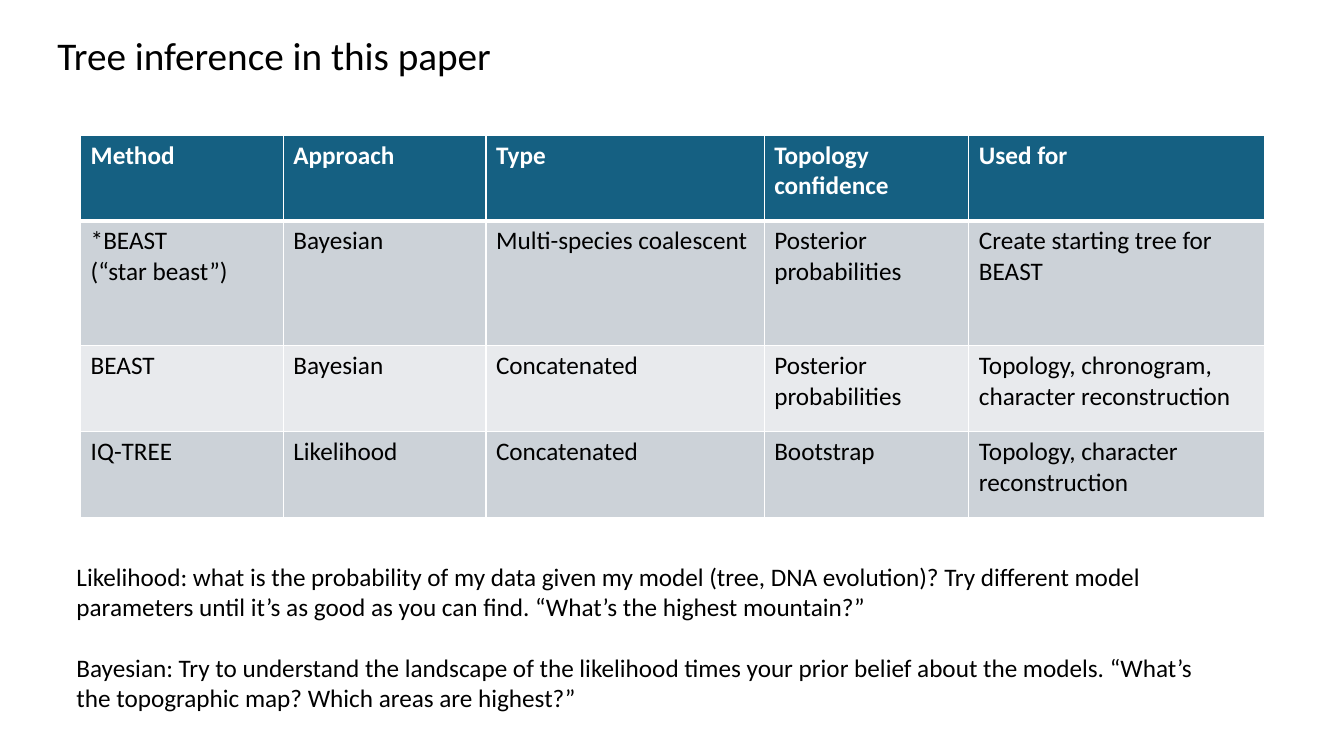
from lxml import etree
from pptx import Presentation
from pptx.dml.color import RGBColor
from pptx.enum.text import MSO_AUTO_SIZE
from pptx.oxml.ns import qn
from pptx.util import Inches, Pt

FONT = "Calibri"
COLORS = {
    "text": "000000",
    "header": "156082",
    "header_text": "FFFFFF",
    "border": "FFFFFF",
    "band_dark": "CCD2D8",
    "band_light": "E8EAED",
}
COLUMN_WIDTHS = [2.01, 2.01, 2.76, 2.03, 2.93]
ROW_HEIGHTS = [0.85, 1.24, 0.85, 0.85]
METHODS = [
    ["Method", "Approach", "Type", "Topology confidence", "Used for"],
    ["*BEAST\n(“star beast”)", "Bayesian", "Multi-species coalescent",
     "Posterior probabilities", "Create starting tree for BEAST"],
    ["BEAST", "Bayesian", "Concatenated", "Posterior probabilities",
     "Topology, chronogram, character reconstruction"],
    ["IQ-TREE", "Likelihood", "Concatenated", "Bootstrap",
     "Topology, character reconstruction"],
]
EXPLANATIONS = [
    "Likelihood: what is the probability of my data given my model (tree, DNA evolution)? "
    "Try different model parameters until it’s as good as you can find. "
    "“What’s the highest mountain?”",
    "Bayesian: Try to understand the landscape of the likelihood times your prior belief "
    "about the models. “What’s the topographic map? Which areas are highest?”",
]


def format_runs(paragraph, size, color="text", bold=False):
    for run in paragraph.runs:
        run.font.name = FONT
        run.font.size = Pt(size)
        run.font.bold = bold
        run.font.color.rgb = RGBColor.from_string(COLORS[color])


def add_text(slide, box, paragraphs, size, gap=0):
    """Write paragraphs into a text box, with gap points between them."""
    shape = slide.shapes.add_textbox(*map(Inches, box))
    text_frame = shape.text_frame
    text_frame.word_wrap = True
    text_frame.auto_size = MSO_AUTO_SIZE.SHAPE_TO_FIT_TEXT
    text_frame.text = "\n".join(paragraphs)
    for index, paragraph in enumerate(text_frame.paragraphs):
        if index:
            paragraph.space_before = Pt(gap)
        format_runs(paragraph, size)


def set_borders(cell, widths):
    """Draw the cell borders; widths maps each side (L, R, T, B) to points."""
    properties = cell._tc.get_or_add_tcPr()
    for side in "LRTB":
        line = etree.SubElement(properties, qn(f"a:ln{side}"), w=str(Pt(widths[side])))
        fill = etree.SubElement(line, qn("a:solidFill"))
        etree.SubElement(fill, qn("a:srgbClr"), val=COLORS["border"])


def add_method_table(slide, box):
    table = slide.shapes.add_table(
        len(METHODS), len(COLUMN_WIDTHS), *map(Inches, box)).table
    for column, width in zip(table.columns, COLUMN_WIDTHS):
        column.width = Inches(width)
    for row, height in zip(table.rows, ROW_HEIGHTS):
        row.height = Inches(height)

    for row_index, texts in enumerate(METHODS):
        is_header = row_index == 0
        band = "band_dark" if row_index % 2 else "band_light"
        for column_index, text in enumerate(texts):
            cell = table.cell(row_index, column_index)
            set_borders(cell, {"L": 1, "R": 1, "T": 3 if row_index == 1 else 1,
                               "B": 3 if is_header else 1})
            cell.fill.solid()
            cell.fill.fore_color.rgb = RGBColor.from_string(
                COLORS["header" if is_header else band])
            paragraph = cell.text_frame.paragraphs[0]
            paragraph.text = text.replace("\n", "\v")
            format_runs(paragraph, 18, "header_text" if is_header else "text", is_header)


def main():
    presentation = Presentation()
    presentation.slide_width = Inches(13.33)
    presentation.slide_height = Inches(7.5)
    slide = presentation.slides.add_slide(presentation.slide_layouts[6])
    add_text(slide, (0.47, 0.26, 5.06, 0.57), ["Tree inference in this paper"], 28)
    add_method_table(slide, (0.8, 1.34, sum(COLUMN_WIDTHS), sum(ROW_HEIGHTS)))
    add_text(slide, (0.66, 5.52, 11.61, 1.62), EXPLANATIONS, 18, gap=21.6)
    presentation.save("out.pptx")


if __name__ == "__main__":
    main()
